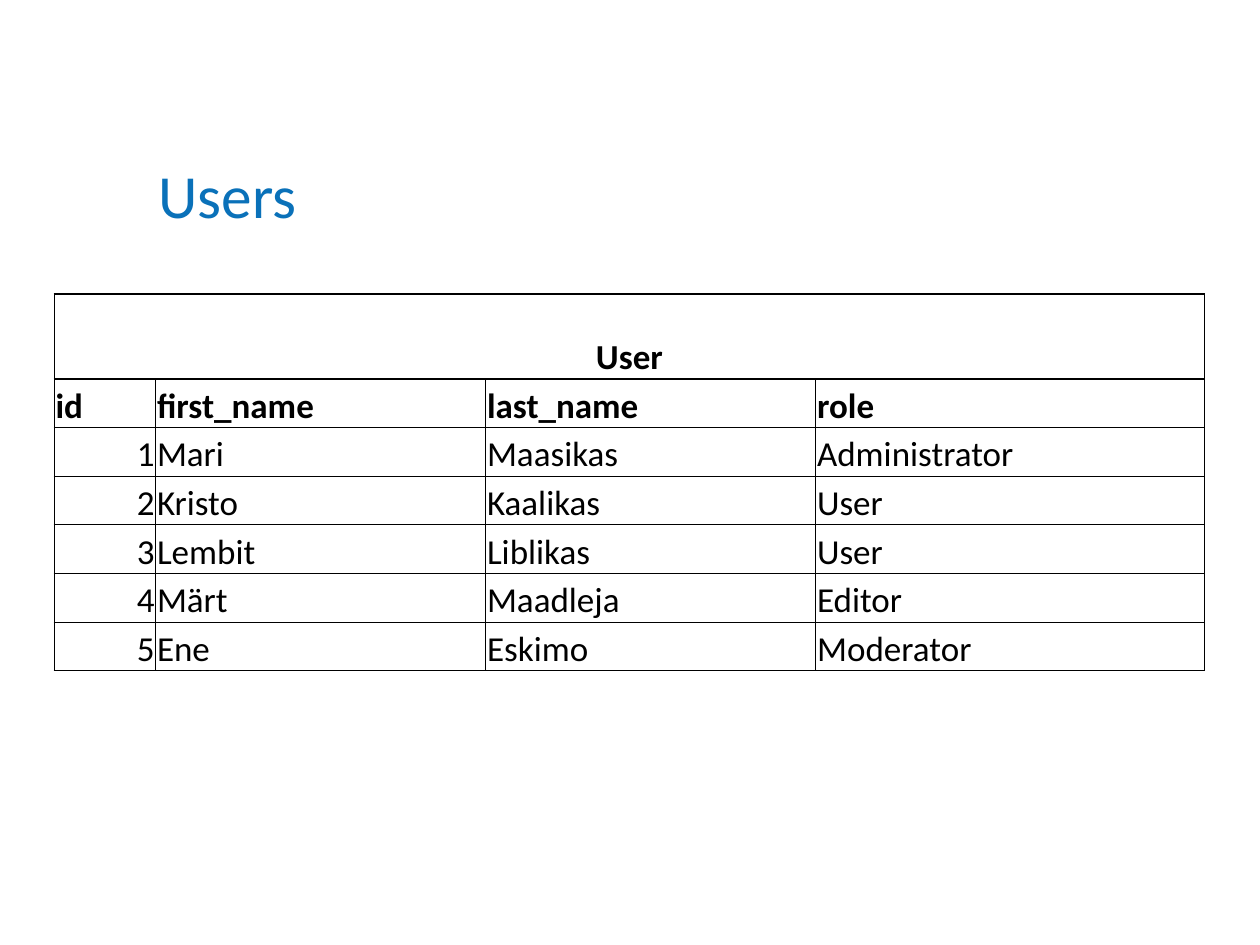
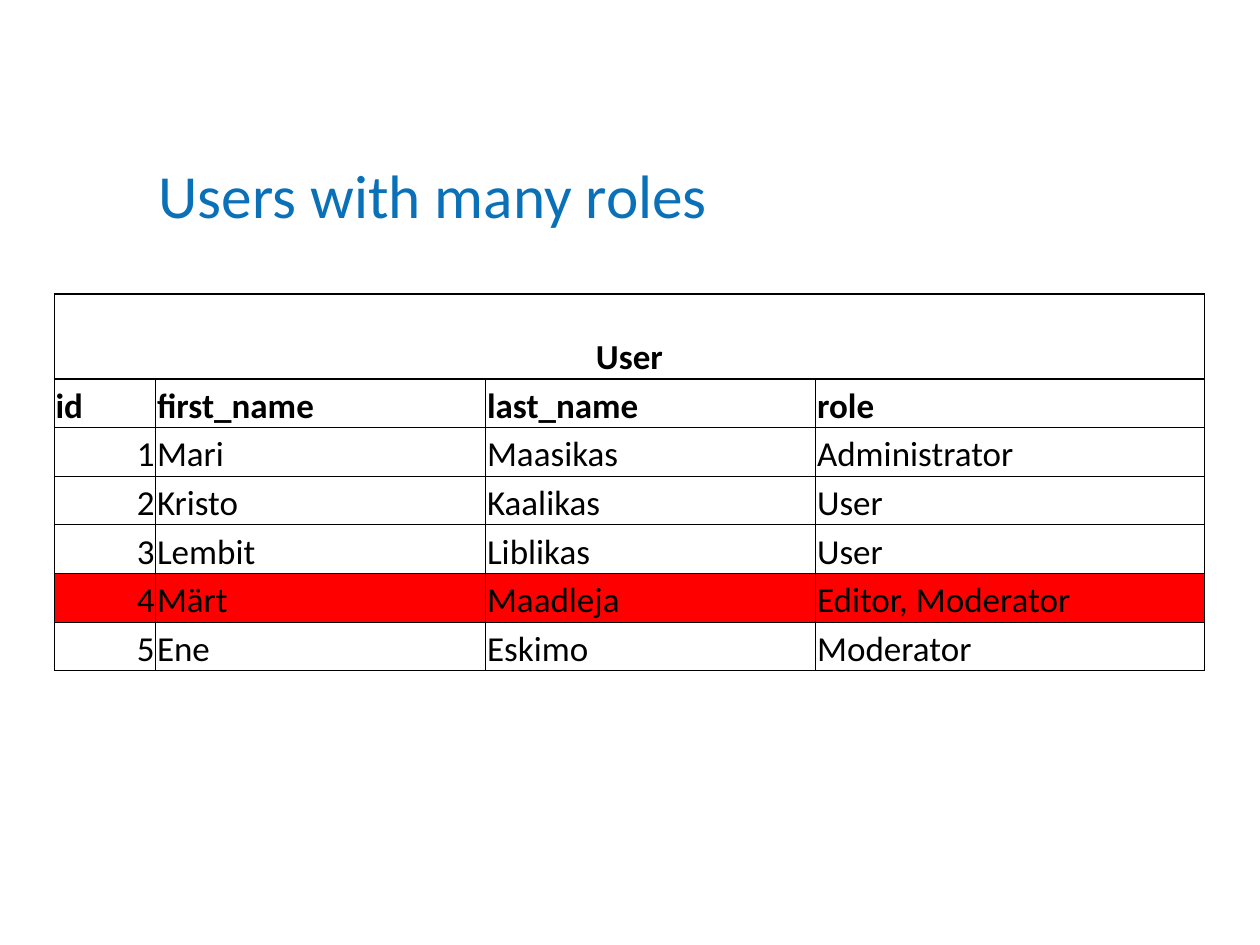
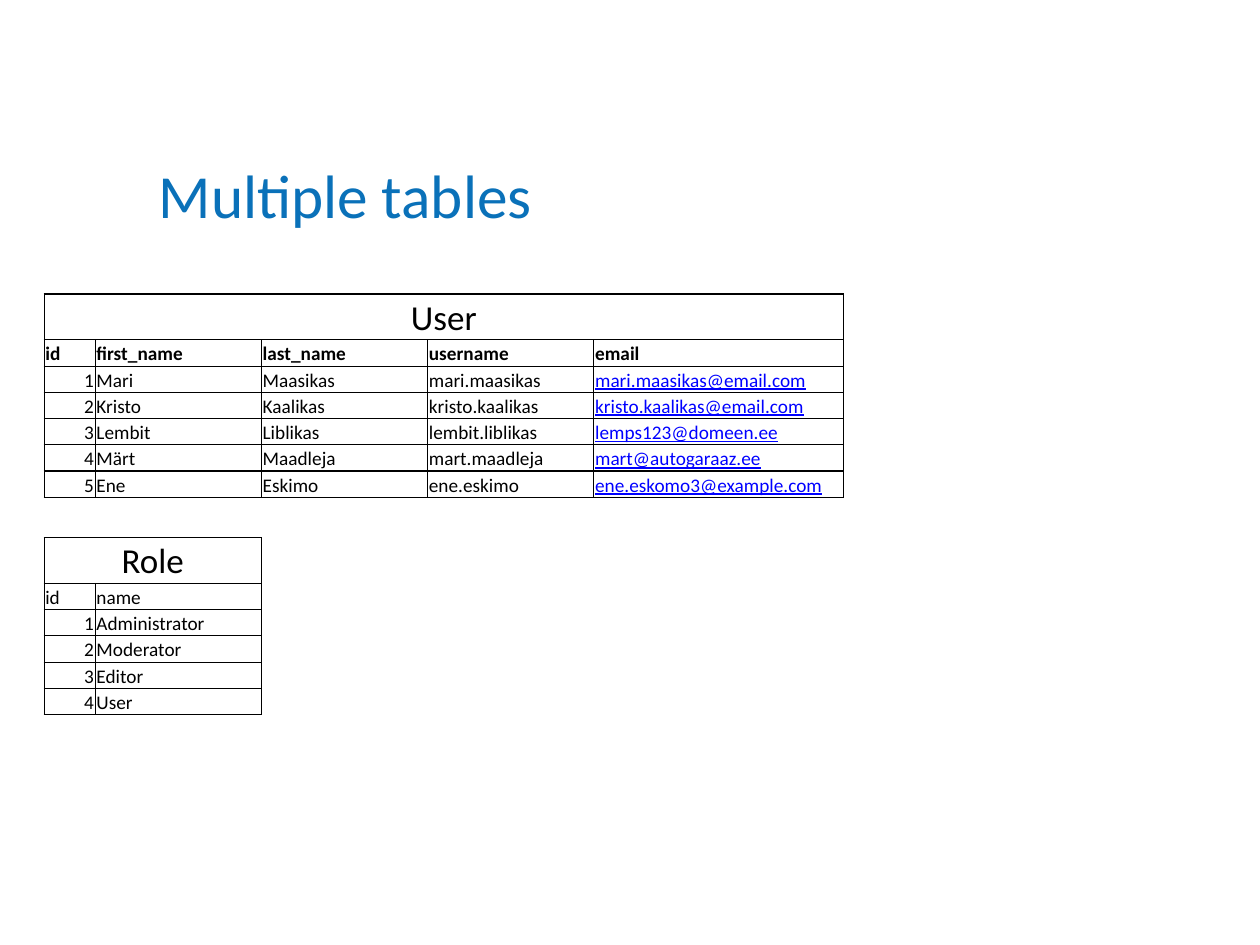
"""Build three slides that show user and role tables under a shared title style."""
from lxml import etree
from pptx import Presentation
from pptx import util as u
from pptx.dml.color import RGBColor
from pptx.enum import text as t
from pptx.oxml import ns

Pt = u.Pt
FONT = "Calibri"
TITLE_BLUE = RGBColor(0x0A, 0x71, 0xB9)
BLACK = RGBColor(0, 0, 0)
LINK_BLUE = RGBColor(0, 0, 0xFF)
RED = RGBColor(0xFF, 0, 0)
BORDER_WIDTH = Pt(0.75)

PEOPLE = [("Mari", "Maasikas"), ("Kristo", "Kaalikas"), ("Lembit", "Liblikas"),
          ("Märt", "Maadleja"), ("Ene", "Eskimo")]
ROLES = ["Administrator", "User", "User", "Editor", "Moderator"]
MANY_ROLES = ROLES[:3] + ["Editor, Moderator"] + ROLES[4:]
ACCOUNTS = [("mari.maasikas", "mari.maasikas@email.com"),
            ("kristo.kaalikas", "kristo.kaalikas@email.com"),
            ("lembit.liblikas", "lemps123@domeen.ee"),
            ("mart.maadleja", "mart@autogaraaz.ee"),
            ("ene.eskimo", "ene.eskomo3@example.com")]
ROLE_NAMES = [("Administrator",), ("Moderator",), ("Editor",), ("User",)]

LARGE = dict(left=31, top=168, columns=[58, 188.6, 188.6, 222.2],
             caption_height=48.6, row_height=27.8, size=20, bold_caption=True)
SMALL = dict(left=25.2, caption_height=26.2, row_height=15, size=11)
NAME_HEADER = ["id", "first_name", "last_name"]

SLIDES = [
    ("Users", [
        dict(LARGE, caption="User", header=NAME_HEADER + ["role"],
             rows=[(*person, role) for person, role in zip(PEOPLE, ROLES)])]),
    ("Users with many roles", [
        dict(LARGE, caption="User", header=NAME_HEADER + ["role"], marked_id=4,
             rows=[(*person, role) for person, role in zip(PEOPLE, MANY_ROLES)])]),
    ("Multiple tables", [
        dict(SMALL, top=168, columns=[29.2, 95, 95, 95, 142.8], caption="User",
             header=NAME_HEADER + ["username", "email"],
             rows=[person + account for person, account in zip(PEOPLE, ACCOUNTS)]),
        dict(SMALL, top=307.2, columns=[29.2, 95], caption="Role",
             header=["id", "name"], rows=ROLE_NAMES, bold_header=False)]),
]


def write_text(frame, content, size, color=BLACK, bold=False, underline=False,
               align=t.PP_ALIGN.LEFT):
    paragraph = frame.paragraphs[0]
    paragraph.alignment = align
    run = paragraph.add_run()
    run.text = content
    font = run.font
    font.name, font.size, font.bold, font.underline = FONT, Pt(size), bold, underline
    font.color.rgb = color


def set_margins(target, left, top, right, bottom):
    target.margin_left, target.margin_top = Pt(left), Pt(top)
    target.margin_right, target.margin_bottom = Pt(right), Pt(bottom)


def style_cell(cell, fill=None):
    set_margins(cell, 0.72, 0.72, 0.72, 0)
    cell.vertical_anchor = t.MSO_ANCHOR.BOTTOM
    properties = cell._tc.get_or_add_tcPr()
    for side in ("lnL", "lnR", "lnT", "lnB"):
        line = etree.SubElement(properties, ns.qn("a:" + side), w=str(BORDER_WIDTH))
        solid = etree.SubElement(line, ns.qn("a:solidFill"))
        etree.SubElement(solid, ns.qn("a:srgbClr"), val=str(BLACK))
    if fill is None:
        cell.fill.background()
    else:
        cell.fill.solid()
        cell.fill.fore_color.rgb = fill


def add_title(slide, title):
    box = slide.shapes.add_textbox(Pt(0), Pt(71.3), Pt(547.2), Pt(74.2))
    frame = box.text_frame
    frame.word_wrap = True
    frame.vertical_anchor = t.MSO_ANCHOR.MIDDLE
    set_margins(frame, 90.7, 22.3, 56.9, 17.3)
    write_text(frame, title, 35, color=TITLE_BLUE)


def add_data_table(slide, left, top, columns, caption_height, row_height, size,
                   caption, header, rows, bold_caption=False, bold_header=True,
                   marked_id=None):
    heights = [caption_height] + [row_height] * (len(rows) + 1)
    table = slide.shapes.add_table(len(heights), len(columns), Pt(left), Pt(top),
                                   Pt(sum(columns)), Pt(sum(heights))).table
    table.first_row = table.horz_banding = False
    for column, width in zip(table.columns, columns):
        column.width = Pt(width)
    for row, height in zip(table.rows, heights):
        row.height = Pt(height)
    for row_index in range(len(heights)):
        marked = marked_id is not None and row_index == marked_id + 1
        for cell in table.rows[row_index].cells:
            style_cell(cell, RED if marked else None)

    table.cell(0, 0).merge(table.cell(0, len(columns) - 1))
    write_text(table.cell(0, 0).text_frame, caption, 20, bold=bold_caption,
               align=t.PP_ALIGN.CENTER)
    for index, name in enumerate(header):
        write_text(table.cell(1, index).text_frame, name, size, bold=bold_header)
    for number, values in enumerate(rows, 1):
        write_text(table.cell(number + 1, 0).text_frame, str(number), size,
                   align=t.PP_ALIGN.RIGHT)
        for index, value in enumerate(values, 1):
            is_email = header[index] == "email"
            write_text(table.cell(number + 1, index).text_frame, value, size,
                       color=LINK_BLUE if is_email else BLACK, underline=is_email)


presentation = Presentation()
presentation.slide_width, presentation.slide_height = Pt(720), Pt(540)
for title, tables in SLIDES:
    slide = presentation.slides.add_slide(presentation.slide_layouts[6])
    add_title(slide, title)
    for table_content in tables:
        add_data_table(slide, **table_content)
presentation.save("out.pptx")
